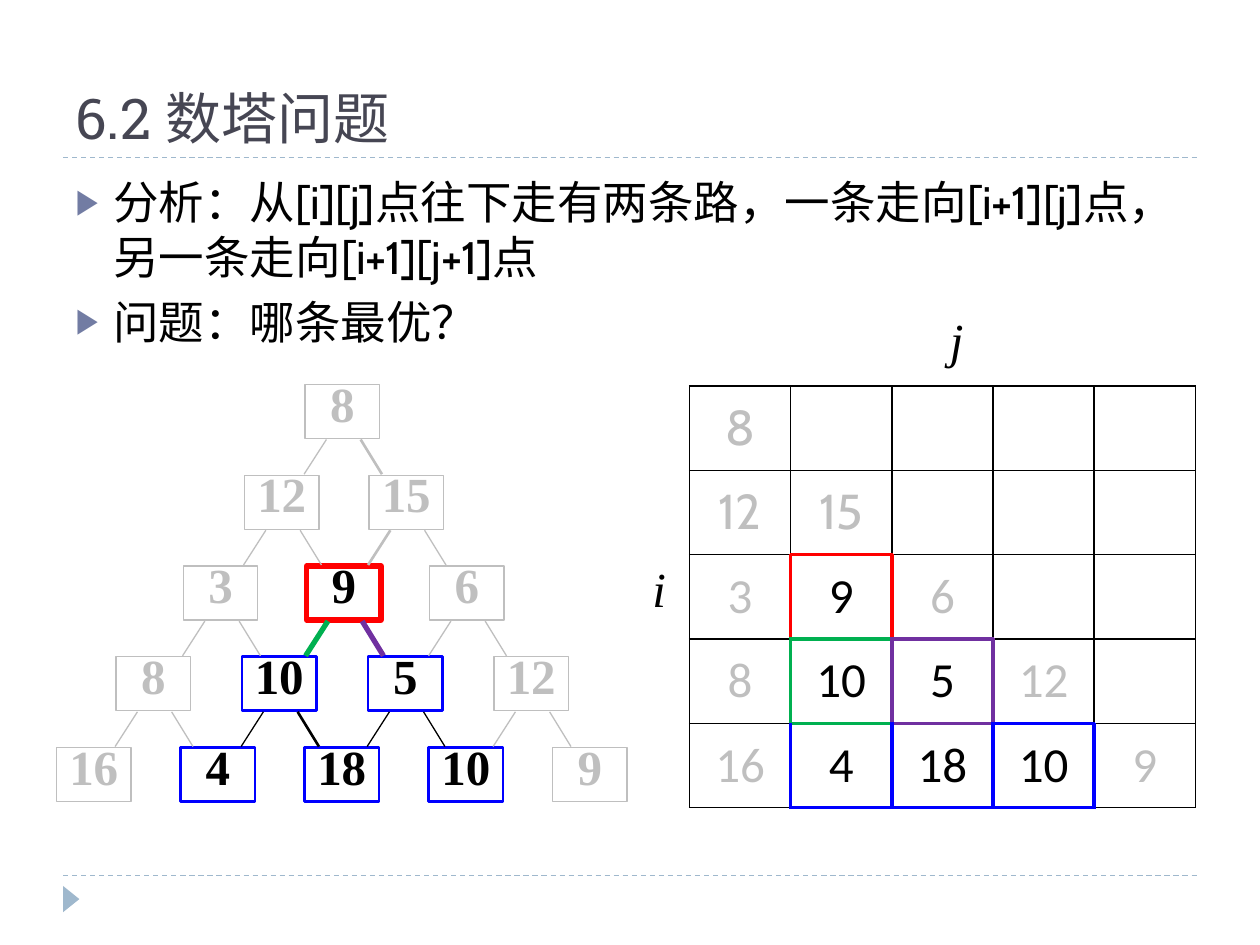
"""Build the number tower slide with its tree and its table."""
from dataclasses import dataclass
from itertools import product

from lxml import etree
from pptx import Presentation
from pptx.dml.color import RGBColor
from pptx.enum.dml import MSO_LINE
from pptx.enum.shapes import MSO_CONNECTOR, MSO_SHAPE
from pptx.enum.text import MSO_ANCHOR, MSO_AUTO_SIZE, PP_ALIGN
from pptx.oxml.ns import qn
from pptx.util import Cm, Pt

RECT = MSO_SHAPE.RECTANGLE
WEDGE = MSO_SHAPE.ISOSCELES_TRIANGLE
STRAIGHT = MSO_CONNECTOR.STRAIGHT
DASH = MSO_LINE.DASH
LEFT, CENTER = PP_ALIGN.LEFT, PP_ALIGN.CENTER
TOP, MIDDLE, BOTTOM = MSO_ANCHOR.TOP, MSO_ANCHOR.MIDDLE, MSO_ANCHOR.BOTTOM
NO_FIT, GROW = MSO_AUTO_SIZE.NONE, MSO_AUTO_SIZE.SHAPE_TO_FIT_TEXT

COLORS = {
    "white": "FFFFFF", "black": "000000", "gray": "BFBFBF", "red": "FF0000",
    "green": "00B050", "purple": "7030A0", "blue": "0000FF",
    "title": "464653", "bullet": "727CA3", "rule": "9FB8CD",
}
SERIF = "Times New Roman"
TOWER = [[8], [12, 15], [3, 9, 6], [8, 10, 5, 12], [16, 4, 18, 10, 9]]
POINTS = [
    "分析：从[i][j]点往下走有两条路，一条走向[i+1][j]点，另一条走向[i+1][j+1]点",
    "问题：哪条最优？",
]


@dataclass
class Pen:
    color: str
    width: float


@dataclass
class Level:
    left: float
    step: float = 0


THIN = Pen("gray", 0.75)
LEVELS = [Level(6.15), Level(4.93, 2.51), Level(3.7, 2.48),
          Level(2.34, 2.54), Level(1.14, 2.5)]
BOX_W, BOX_H, BOX_TOP, BOX_STEP = 1.5, 1.09, 7.75, 1.83
BLUE_NODES = [(3, 1), (3, 2), (4, 1), (4, 2), (4, 3)]
NODE_PENS = {(2, 1): Pen("red", 3)} | {spot: Pen("blue", 1.5) for spot in BLUE_NODES}
EDGE_PENS = {
    (0, 0, 1): Pen("gray", 1.5), (1, 1, 0): Pen("gray", 1.5),
    (2, 1, 0): Pen("green", 3), (2, 1, 1): Pen("purple", 3),
    (3, 1, 0): Pen("black", 0.75), (3, 1, 1): Pen("black", 1.5),
    (3, 2, 0): Pen("black", 0.75), (3, 2, 1): Pen("black", 0.75),
}
CELL_MARKS = {(4, 1): "blue", (4, 2): "blue", (4, 3): "blue",
              (2, 1): "red", (3, 1): "green", (3, 2): "purple"}
SIDES = {"L": (0, -1, "R"), "R": (0, 1, "L"), "T": (-1, 0, "B"), "B": (1, 0, "T")}


def tint(name: str) -> RGBColor:
    return RGBColor.from_string(COLORS[name])


def style(para, face: str, size: float, color: str, bold=False, slant=False) -> None:
    for run in para.runs:
        font = run.font
        font.name, font.size = face, Pt(size)
        font.bold, font.italic = bold, slant
        font.color.rgb = tint(color)


def place(shape, left: float, top: float, width: float, height: float) -> None:
    shape.left, shape.top = Cm(left), Cm(top)
    shape.width, shape.height = Cm(width), Cm(height)


def draw_line(shapes, start: tuple, end: tuple, pen: Pen, dash=None) -> None:
    line = shapes.add_connector(STRAIGHT, *map(Cm, start + end))
    line.line.color.rgb = tint(pen.color)
    line.line.width = Pt(pen.width)
    if dash:
        line.line.dash_style = dash
    etree.SubElement(line._element.spPr, qn("a:effectLst"))


def draw_box(shapes, left: float, top: float, value: int, pen: Pen) -> None:
    box = shapes.add_shape(RECT, Cm(left), Cm(top), Cm(BOX_W), Cm(BOX_H))
    box.shadow.inherit = False
    box.fill.solid()
    box.fill.fore_color.rgb = tint("white")
    box.line.color.rgb = tint(pen.color)
    box.line.width = Pt(pen.width)
    frame = box.text_frame
    frame.margin_left = frame.margin_right = frame.margin_top = frame.margin_bottom = 0
    frame.vertical_anchor = TOP
    frame.text = str(value)
    para = frame.paragraphs[0]
    para.alignment, para.line_spacing = CENTER, 0.8
    style(para, SERIF, 28, "gray" if pen is THIN else "black", bold=True)


def draw_tower(slide) -> None:
    shapes = slide.shapes.add_group_shape().shapes
    spots = [(row, col) for row in range(5) for col in range(row + 1)]
    for row, col in spots:
        level = LEVELS[row]
        draw_box(shapes, level.left + col * level.step, BOX_TOP + row * BOX_STEP,
                 TOWER[row][col], NODE_PENS.get((row, col), THIN))
    for (row, col), side in product(spots[:10], (0, 1)):
        left = LEVELS[row].left + col * LEVELS[row].step
        top = BOX_TOP + row * BOX_STEP + BOX_H + 0.02
        near, far = ((0.43, -0.02), (1.12, 1.55))[side]
        draw_line(shapes, (left + near, top), (left + far, top + 0.7),
                  EDGE_PENS.get((row, col, side), THIN))


def plan_edges() -> dict:
    edges = {(row, col, side): Pen("black", 1)
             for row, col, side in product(range(5), range(5), SIDES)}
    for (row, col), color in CELL_MARKS.items():
        for side, (down, right, facing) in SIDES.items():
            edges[row, col, side] = Pen(color, 2.25)
            edges[row + down, col + right, facing] = Pen(color, 2.25)
    return edges


def draw_table(slide) -> None:
    table = slide.shapes.add_table(5, 5, Cm(13.9), Cm(7.78), Cm(10.2), Cm(8.5)).table
    table.first_row = table.horz_banding = False
    edges = plan_edges()
    for row, col in product(range(5), range(5)):
        cell = table.cell(row, col)
        props = cell._tc.get_or_add_tcPr()
        for side in SIDES:
            pen = edges[row, col, side]
            line = etree.SubElement(props, qn(f"a:ln{side}"), w=str(Pt(pen.width)))
            fill = etree.SubElement(line, qn("a:solidFill"))
            etree.SubElement(fill, qn("a:srgbClr"), val=COLORS[pen.color])
        cell.fill.solid()
        cell.fill.fore_color.rgb = tint("white")
        cell.vertical_anchor = MIDDLE
        if col <= row:
            cell.text_frame.text = str(TOWER[row][col])
            para = cell.text_frame.paragraphs[0]
            para.alignment = CENTER
            style(para, "Cabin" if row < 2 else "Calibri", 28,
                  "black" if (row, col) in CELL_MARKS else "gray")


def add_bullet(para) -> None:
    props = para._p.get_or_add_pPr()
    props.set("marL", str(Cm(0.76)))
    props.set("indent", str(Cm(-0.76)))
    color = etree.SubElement(props, qn("a:buClr"))
    etree.SubElement(color, qn("a:srgbClr"), val=COLORS["bullet"])
    etree.SubElement(props, qn("a:buSzPct"), val="76000")
    etree.SubElement(props, qn("a:buChar"), char="▶")


def fill_text(slide) -> None:
    title, body = slide.placeholders
    place(title, 1.27, 0.43, 22.86, 2.74)
    title.text_frame.text = "6.2 数塔问题"
    title.text_frame.vertical_anchor = BOTTOM
    title.text_frame.auto_size = NO_FIT
    para = title.text_frame.paragraphs[0]
    para.alignment = LEFT
    style(para, "Roboto Slab", 32, "title")
    place(body, 1.27, 3.38, 22.86, 13.72)
    frame = body.text_frame
    frame.text = "\n".join(POINTS)
    frame.auto_size = NO_FIT
    for rank, para in enumerate(frame.paragraphs):
        add_bullet(para)
        para.space_before = Pt(6 * rank)
        style(para, "Cabin", 26, "black")


def add_label(slide, left: float, top: float, text: str) -> None:
    frame = slide.shapes.add_textbox(Cm(left), Cm(top), Cm(0.79), Cm(1.45)).text_frame
    frame.word_wrap = False
    frame.auto_size = GROW
    frame.text = text
    style(frame.paragraphs[0], SERIF, 28, "black", slant=True)


def draw_frame(slide) -> None:
    for top in (17.65, 3.18):
        draw_line(slide.shapes, (1.27, top), (24.13, top), Pen("rule", 0.75), DASH)
    wedge = slide.shapes.add_shape(WEDGE, Cm(1.17), Cm(17.96), Cm(0.53), Cm(0.33))
    wedge.rotation = 90
    wedge.shadow.inherit = False
    wedge.fill.solid()
    wedge.fill.fore_color.rgb = tint("rule")
    wedge.line.fill.background()


def main() -> None:
    deck = Presentation()
    deck.slide_width, deck.slide_height = Cm(25.4), Cm(19.05)
    slide = deck.slides.add_slide(deck.slide_layouts[1])
    draw_frame(slide)
    fill_text(slide)
    draw_tower(slide)
    draw_table(slide)
    add_label(slide, 12.9, 11.13, "i")
    add_label(slide, 18.9, 6.12, "j")
    deck.save("out.pptx")


if __name__ == "__main__":
    main()
